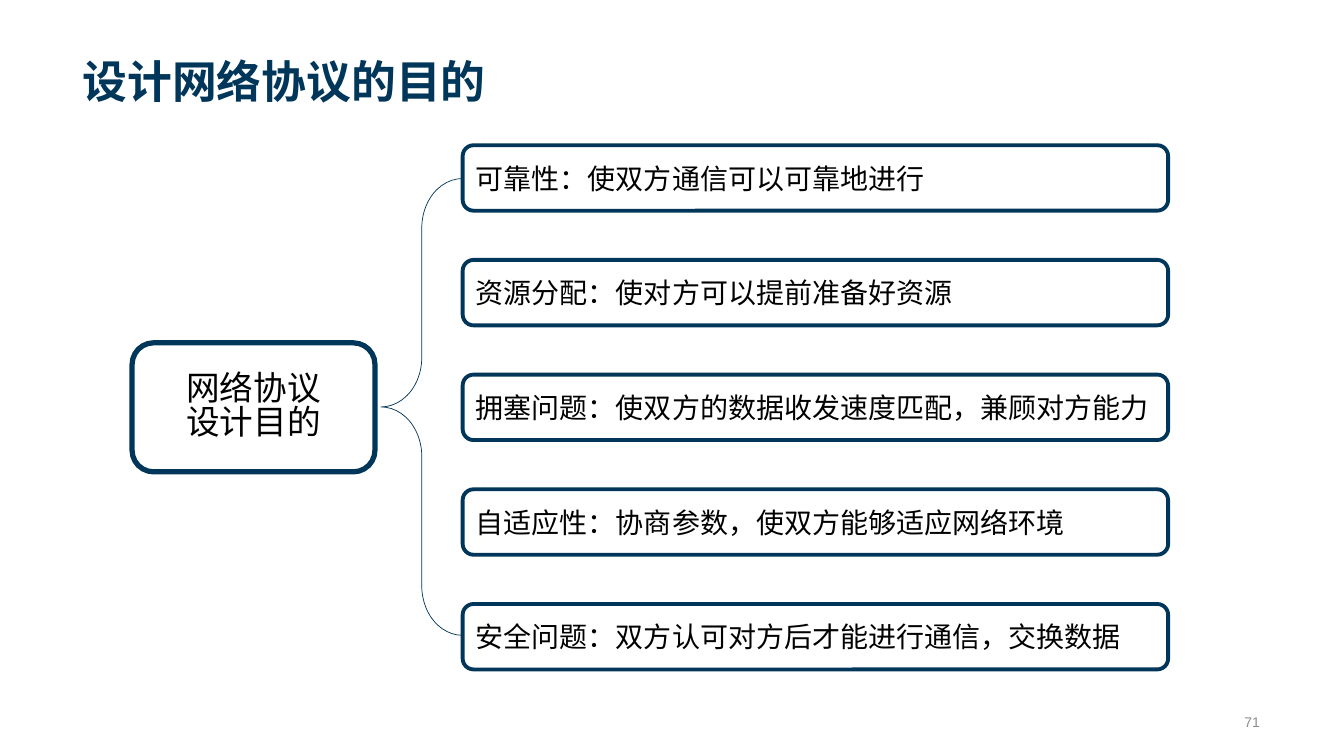
from dataclasses import dataclass

import lxml.etree
import pptx
import pptx.dml.color
import pptx.enum.shapes
import pptx.enum.text
import pptx.oxml.ns
import pptx.util

Cm = pptx.util.Cm
Pt = pptx.util.Pt
Align = pptx.enum.text.PP_ALIGN
Anchor = pptx.enum.text.MSO_ANCHOR
ShapeKind = pptx.enum.shapes.MSO_SHAPE

NAVY = "003659"
BLACK = "000000"
WHITE = "FFFFFF"
GREY = "8C8C8C"
CHINESE_FONT = "Noto Sans CJK SC"

PURPOSES = [
    "可靠性：使双方通信可以可靠地进行",
    "资源分配：使对方可以提前准备好资源",
    "拥塞问题：使双方的数据收发速度匹配，兼顾对方能力",
    "自适应性：协商参数，使双方能够适应网络环境",
    "安全问题：双方认可对方后才能进行通信，交换数据",
]
FIRST_PURPOSE_TOP = 3.66
PURPOSE_PITCH = 2.89


@dataclass
class Area:
    """A rectangle in centimetres."""
    left: float
    top: float
    width: float
    height: float

    def lengths(self) -> list:
        return [Cm(value) for value in (self.left, self.top, self.width, self.height)]


@dataclass
class TextStyle:
    size: float
    color: str = BLACK
    font: str = CHINESE_FONT
    bold: bool = False
    align: Align = Align.LEFT
    anchor: Anchor = Anchor.MIDDLE
    line_spacing: float = 1.0


@dataclass
class Box:
    area: Area
    text: str
    line_width: float
    style: TextStyle


def rgb(color: str) -> pptx.dml.color.RGBColor:
    return pptx.dml.color.RGBColor.from_string(color)


def write(shape, text: str, style: TextStyle) -> None:
    frame = shape.text_frame
    frame.text = text
    frame.word_wrap = True
    frame.vertical_anchor = style.anchor
    for paragraph in frame.paragraphs:
        paragraph.alignment = style.align
        paragraph.line_spacing = style.line_spacing
        for run in paragraph.runs:
            run.font.name = style.font
            run.font.size = Pt(style.size)
            run.font.bold = style.bold
            run.font.color.rgb = rgb(style.color)
            east_asian = lxml.etree.SubElement(
                run.font._element, pptx.oxml.ns.qn("a:ea"))
            east_asian.set("typeface", style.font)


def add_text(slide, area: Area, text: str, style: TextStyle) -> None:
    write(slide.shapes.add_textbox(*area.lengths()), text, style)


def add_outlined(slide, kind: ShapeKind, area: Area, line_width: float):
    shape = slide.shapes.add_shape(kind, *area.lengths())
    shape.shadow.inherit = False
    shape.line.color.rgb = rgb(NAVY)
    shape.line.width = Pt(line_width)
    return shape


def add_box(slide, box: Box) -> None:
    shape = add_outlined(slide, ShapeKind.ROUNDED_RECTANGLE, box.area, box.line_width)
    shape.fill.solid()
    shape.fill.fore_color.rgb = rgb(WHITE)
    write(shape, box.text, box.style)


def add_brace(slide, area: Area) -> None:
    brace = add_outlined(slide, ShapeKind.LEFT_BRACE, area, 0.5)
    brace.fill.background()
    brace.adjustments[0] = 0.605
    brace.adjustments[1] = 0.5


def main() -> None:
    presentation = pptx.Presentation()
    presentation.slide_width = Cm(33.87)
    presentation.slide_height = Cm(19.05)
    slide = presentation.slides.add_slide(presentation.slide_layouts[6])

    add_text(slide, Area(1.83, 0, 30.18, 2.84), "设计网络协议的目的",
             TextStyle(32, NAVY, bold=True, anchor=Anchor.BOTTOM))

    topic_style = TextStyle(24, align=Align.CENTER, line_spacing=0.84)
    add_box(slide, Box(Area(3.33, 8.64, 6.12, 3.25), "网络协议\n设计目的", 3.75, topic_style))

    for index, purpose in enumerate(PURPOSES):
        top = FIRST_PURPOSE_TOP + index * PURPOSE_PITCH
        add_box(slide, Box(Area(11.66, top, 17.78, 1.65), purpose, 2.75, TextStyle(20)))

    add_brace(slide, Area(9.6, 4.5, 2.06, 11.51))
    add_text(slide, Area(21.59, 17.81, 10.41, 0.76), "71",
             TextStyle(10, GREY, "Arial", align=Align.RIGHT))

    presentation.save("out.pptx")


if __name__ == "__main__":
    main()
